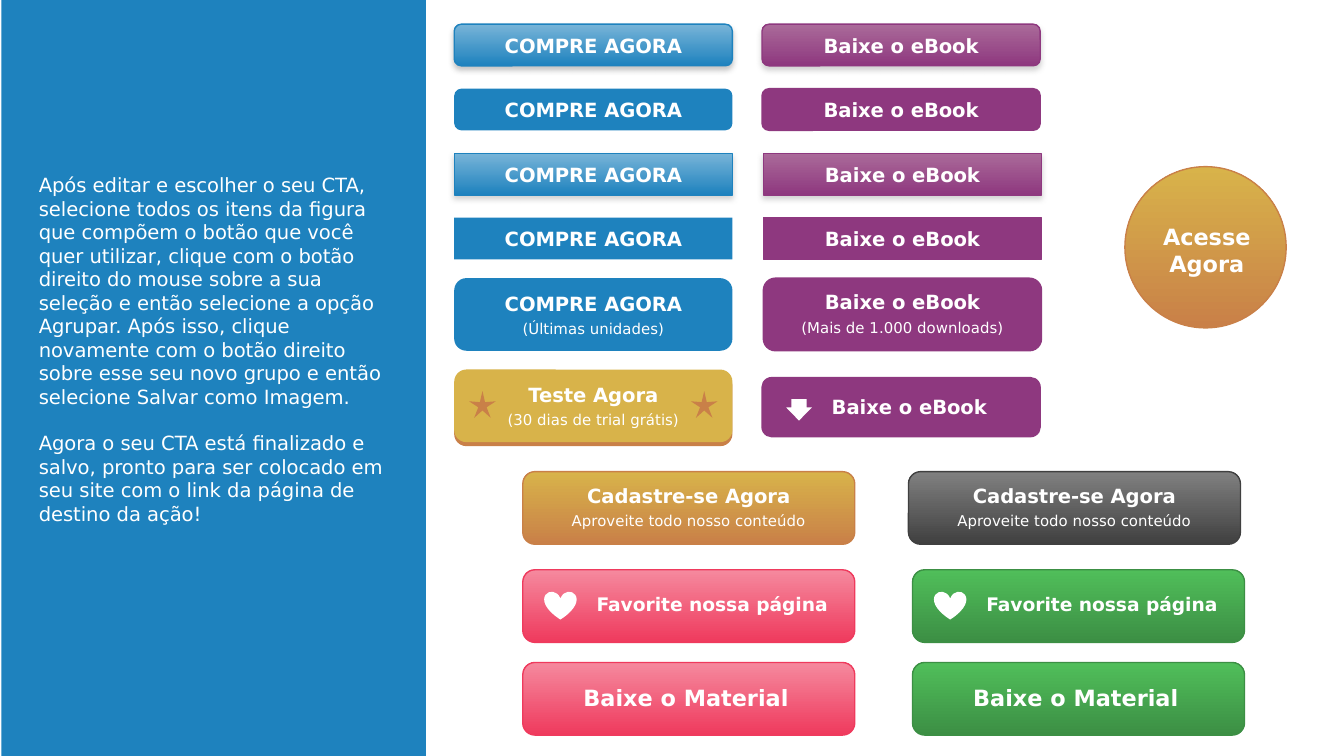
from lxml.etree import SubElement
from pptx import Presentation
from pptx.dml.color import RGBColor
from pptx.enum.shapes import MSO_SHAPE as Kind
from pptx.enum.text import MSO_AUTO_SIZE as Fit, PP_ALIGN as Align
from pptx.oxml.ns import qn
from pptx.util import Inches, Pt

hue = RGBColor.from_string
ROUND, RECT = Kind.ROUNDED_RECTANGLE, Kind.RECTANGLE
WHITE, BLUE, PLUM, GOLD, RUST = "FFFFFF", "1E82BE", "8E387F", "D8B34A", "C98048"
PINK, GREEN, GREY = "EF3A5D", "3C8F44", "404040"
PALE = {BLUE: "78B4D8", PLUM: "AA6A99", RUST: GOLD,
        PINK: "F5899E", GREEN: "50BE5A", GREY: "808080"}

deck = Presentation()
deck.slide_width = Inches(10)
deck.slide_height = deck.slide_width * 9 // 16
slide = deck.slides.add_slide(deck.slide_layouts[6])
# The grid has 1000 columns and 562.5 rows of square cells
CELL = deck.slide_width // 1000


def draw(kind, box, fill, top=None, line=None, shade=None):
    """Add a shape; top makes the fill fade upwards, shade is a shadow colour."""
    shape = slide.shapes.add_shape(kind, *(int(n * CELL) for n in box))
    shape.shadow.inherit = False
    if top:
        shape.fill.gradient()
        shape.fill.gradient_angle = 90
        for stop, tint in zip(shape.fill.gradient_stops, (fill, top)):
            stop.color.rgb = hue(tint)
    else:
        shape.fill.solid()
        shape.fill.fore_color.rgb = hue(fill)
    if line:
        shape.line.color.rgb = hue(line)
        shape.line.width = Pt(0.75)
    else:
        shape.line.fill.background()
    if shade:
        fx = shape.element.spPr.find(qn("a:effectLst"))
        cast = SubElement(fx, qn("a:outerShdw"), blurRad=str(Pt(3.1)),
                          dist=str(Pt(1.8)), dir="5400000", rotWithShape="0")
        tone = SubElement(cast, qn("a:srgbClr"), val=shade)
        SubElement(tone, qn("a:alpha"), val="35000")
    return shape


def write(box, lines, size=10.5, bold=True, align=Align.CENTER, gap=0):
    """Add a text box with one paragraph per line, gap points apart."""
    frame = slide.shapes.add_textbox(*(n * CELL for n in box)).text_frame
    frame.word_wrap = True
    frame.auto_size = Fit.SHAPE_TO_FIT_TEXT
    style = {"name": "DejaVu Sans", "size": Pt(size), "bold": bold}
    for i, words in enumerate(lines):
        para = frame.paragraphs[0] if i == 0 else frame.add_paragraph()
        para.alignment = align
        para.space_before = Pt(gap if i else 0)
        run = para.add_run()
        run.text = words
        for key, value in style.items():
            setattr(run.font, key, value)
        run.font.color.rgb = hue(WHITE)


# Side panel
draw(RECT, (1, 0, 316, 562.5), BLUE)
write((19, 124, 281, 275), [
    "Após editar e escolher o seu CTA, selecione todos os itens da figura que "
    "compõem o botão que você quer utilizar, clique com o botão direito do mouse "
    "sobre a sua seleção e então selecione a opção Agrupar. Após isso, clique "
    "novamente com o botão direito sobre esse seu novo grupo e então selecione "
    "Salvar como Imagem.",
    "Agora o seu CTA está finalizado e salvo, pronto para ser colocado em seu "
    "site com o link da página de destino da ação!",
], bold=False, align=Align.LEFT, gap=12.2)

# Slim buttons: round then square, each glossy then flat
for left, tint, edge, label in ((338, BLUE, None, "COMPRE AGORA"),
                                (567, PLUM, PLUM, "Baixe o eBook")):
    for row in range(4):
        kind = ROUND if row < 2 else RECT
        glossy = row % 2 == 0
        x = left + (tint == PLUM and row > 1)
        y = 18 + 48 * row
        shade = "595959" if tint == BLUE and row == 0 else "808080"
        draw(kind, (x, y, 207, 31), tint, PALE[tint] if glossy else None,
             tint if glossy else edge, shade if glossy else None)
        write((x + 11, y + 2, 185, 28), [label])

# Buttons with a second line; the gold one stands on a rust base
draw(ROUND, (338, 278, 207, 54), RUST)
for x, y, tint, edge, drop, label, note in (
        (338, 207, BLUE, None, 5, "COMPRE AGORA", "(Últimas unidades)"),
        (568, 207, PLUM, PLUM, 4, "Baixe o eBook", "(Mais de 1.000 downloads)"),
        (338, 275, GOLD, None, 5, "Teste Agora", "(30 dias de trial grátis)")):
    draw(ROUND, (x, y, 207, 54), tint, line=edge)
    write((x + 11, y + drop, 185, 28), [label])
    write((x + 11, y + drop + 21, 185, 24), [note], 8, False)
for x in (349, 514):
    star = draw(Kind.STAR_5_POINT, (x, 291, 20, 20), RUST)
    star.adjustments[0] = 0.155

# Download button
draw(ROUND, (567, 281, 207, 44), PLUM, line=PLUM)
write((609, 289, 155, 28), ["Baixe o eBook"], align=Align.LEFT)
arrow = draw(Kind.DOWN_ARROW, (585, 297, 19, 16), WHITE)
arrow.adjustments[0], arrow.adjustments[1] = 0.587, 0.609

# Round button
draw(Kind.OVAL, (837, 124, 120, 120), RUST, GOLD, RUST)
write((838, 161, 120, 50), ["Acesse", "Agora"], 12)

# Wide buttons
for x, tint in ((389, RUST), (676, GREY)):
    draw(ROUND, (x, 351, 247, 54), tint, PALE[tint], tint)
    write((x, 355, 247, 28), ["Cadastre-se Agora"])
    write((x, 376, 247, 24), ["Aproveite todo nosso conteúdo"], 8, False)
for x, tint in ((389, PINK), (679, GREEN)):
    for y in (424, 493):
        draw(ROUND, (x, y, 247, 54), tint, PALE[tint], tint)
    draw(Kind.HEART, (x + 16, 440, 24, 21), WHITE)
    write((x + 45, 436, 199, 27), ["Favorite nossa página"], 10, align=Align.LEFT)
    write((x, 504, 243, 30), ["Baixe o Material"], 12)

deck.save("out.pptx")
